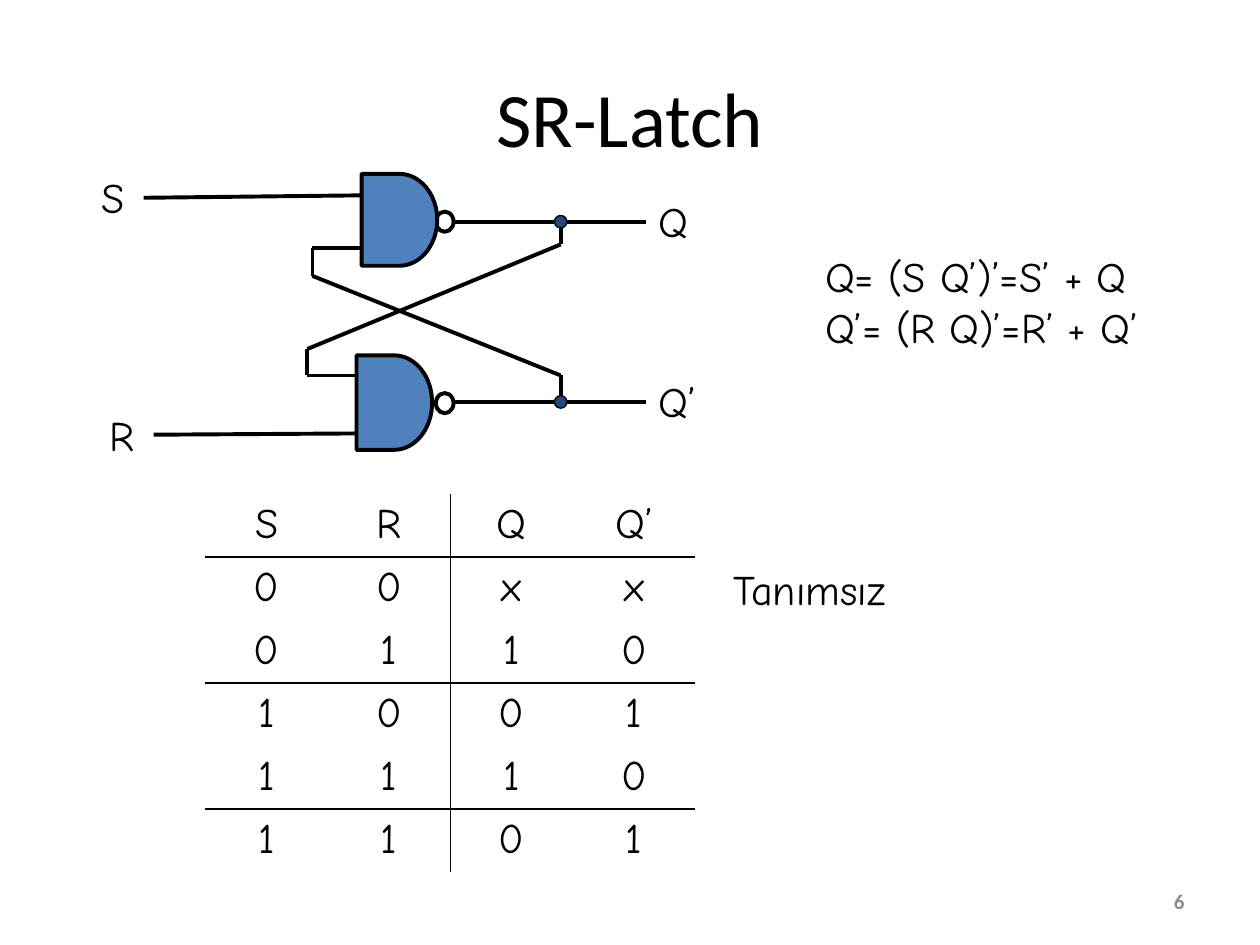
import pptx
import pptx.util
import pptx.dml.color
import pptx.enum.shapes
import pptx.enum.text
import pptx.oxml.ns
import lxml.etree

SHAPE = pptx.enum.shapes.MSO_SHAPE
ALIGN = pptx.enum.text.PP_ALIGN
ANCHOR = pptx.enum.text.MSO_ANCHOR
COLORS = {"ink": "000000", "page": "8C8C8C", "gate": "4F81BD", "node": "1F497D"}

deck = pptx.Presentation()
deck.slide_width = pptx.util.Inches(10)
deck.slide_height = pptx.util.Inches(7.5)
slide = deck.slides.add_slide(deck.slide_layouts[6])

col = deck.slide_width / 100
row = deck.slide_height / 75


def write(frame, text, size=24, font="Comic Neue", color="ink", align=ALIGN.LEFT,
          anchor=ANCHOR.TOP, bold=False, wrap=True, inset=True):
    frame.word_wrap = wrap
    frame.vertical_anchor = anchor
    if not inset:
        frame.margin_left = frame.margin_right = 0
        frame.margin_top = frame.margin_bottom = 0
    frame.text = text
    for line in frame.paragraphs:
        line.alignment = align
        line.font.size = pptx.util.Pt(size)
        line.font.name = font
        line.font.bold = bold
        line.font.color.rgb = pptx.dml.color.RGBColor.from_string(COLORS[color])


def area(left, top, width, height):
    return int(left * col), int(top * row), int(width * col), int(height * row)


title = slide.shapes.add_textbox(*area(5, 3, 90, 12.5))
write(title.text_frame, "SR-Latch", size=44, font="Calibri", align=ALIGN.CENTER,
      anchor=ANCHOR.MIDDLE)
page = slide.shapes.add_textbox(*area(71.7, 69.5, 23.3, 4))
write(page.text_frame, "6", size=12, font="Calibri", color="page", align=ALIGN.RIGHT,
      anchor=ANCHOR.MIDDLE, bold=True)

signals = [
    ("S", 8.1, 13.6, 2.3),
    ("Q", 52.3, 15.5, 2.9),
    ("R", 8.7, 32.5, 2.1),
    ("Q’", 52.3, 29.8, 3.5),
]
for signal, left, top, width in signals:
    label = slide.shapes.add_textbox(*area(left, top, width, 4))
    write(label.text_frame, signal, wrap=False, inset=False)

q_row, q_not_row = 17.6, 31.9
branch = 44.5
wires = [
    [(11.4, 15.7), (29, 15.5)],
    [(12.2, 34.5), (28.7, 34.4)],
    [(36.1, q_row), (51.3, q_row)],
    [(36.1, q_not_row), (51.3, q_not_row)],
    [(28.6, 19.7), (24.8, 19.7), (24.8, 21.9), (branch, 29.8), (branch, q_not_row)],
    [(28.3, 29.8), (24.4, 29.8), (24.4, 27.7), (branch, 19.4), (branch, q_row)],
]
for wire in wires:
    for (x1, y1), (x2, y2) in zip(wire, wire[1:]):
        segment = slide.shapes.add_connector(
            pptx.enum.shapes.MSO_CONNECTOR.STRAIGHT,
            int(x1 * col), int(y1 * row), int(x2 * col), int(y2 * row))
        segment.line.width = pptx.util.Pt(2.25)
        segment.line.color.rgb = pptx.dml.color.RGBColor.from_string(COLORS["ink"])
        lxml.etree.SubElement(segment.element.spPr, pptx.oxml.ns.qn("a:effectLst"))

parts = [
    (SHAPE.OVAL, (34.6, 16.8, 1.4, 1.6), None, 2.25),
    (SHAPE.OVAL, (34.6, 31.2, 1.4, 1.6), None, 2.25),
    (SHAPE.OVAL, (branch - 0.5, q_row - 0.5, 1, 1), "node", 0.75),
    (SHAPE.OVAL, (branch - 0.5, q_not_row - 0.5, 1, 1), "node", 0.75),
    (SHAPE.FLOWCHART_DELAY, (28.7, 13.8, 6, 7.3), "gate", 2.25),
    (SHAPE.FLOWCHART_DELAY, (28.3, 28.2, 6, 7.5), "gate", 2.25),
]
for kind, place, color, weight in parts:
    part = slide.shapes.add_shape(kind, *area(*place))
    part.shadow.inherit = False
    part.line.width = pptx.util.Pt(weight)
    part.line.color.rgb = pptx.dml.color.RGBColor.from_string(COLORS["ink"])
    if color:
        part.fill.solid()
        part.fill.fore_color.rgb = pptx.dml.color.RGBColor.from_string(COLORS[color])
    else:
        part.fill.background()

states = [
    ["S", "R", "Q", "Q’"],
    ["0", "0", "x", "x"],
    ["0", "1", "1", "0"],
    ["1", "0", "0", "1"],
    ["1", "1", "1", "0"],
    ["1", "1", "0", "1"],
]
truth = slide.shapes.add_table(6, 4, *area(16.3, 39.2, 38.9, 30)).table
truth.first_row = False
truth.horz_banding = False
for r, state in enumerate(states):
    for c, value in enumerate(state):
        cell = truth.cell(r, c)
        write(cell.text_frame, value, align=ALIGN.CENTER)
        ruled = {
            "a:lnL": c == 2,
            "a:lnR": c == 1,
            "a:lnT": r in (1, 3, 5),
            "a:lnB": r in (0, 2, 4),
        }
        borders = cell._tc.get_or_add_tcPr()
        for side, shown in ruled.items():
            border = lxml.etree.SubElement(borders, pptx.oxml.ns.qn(side), w="12700")
            if shown:
                ink = lxml.etree.SubElement(border, pptx.oxml.ns.qn("a:solidFill"))
                lxml.etree.SubElement(ink, pptx.oxml.ns.qn("a:srgbClr"), val=COLORS["ink"])
            else:
                lxml.etree.SubElement(border, pptx.oxml.ns.qn("a:noFill"))
        cell.fill.background()

undefined = slide.shapes.add_textbox(*area(57.2, 44.2, 15.7, 5))
write(undefined.text_frame, "Tanımsız", wrap=False)
equations = slide.shapes.add_textbox(*area(64.5, 19.4, 28.9, 9.1))
write(equations.text_frame, "Q= (S Q’)’=S’ + Q\nQ’= (R Q)’=R’ + Q’", wrap=False)

deck.save("out.pptx")
